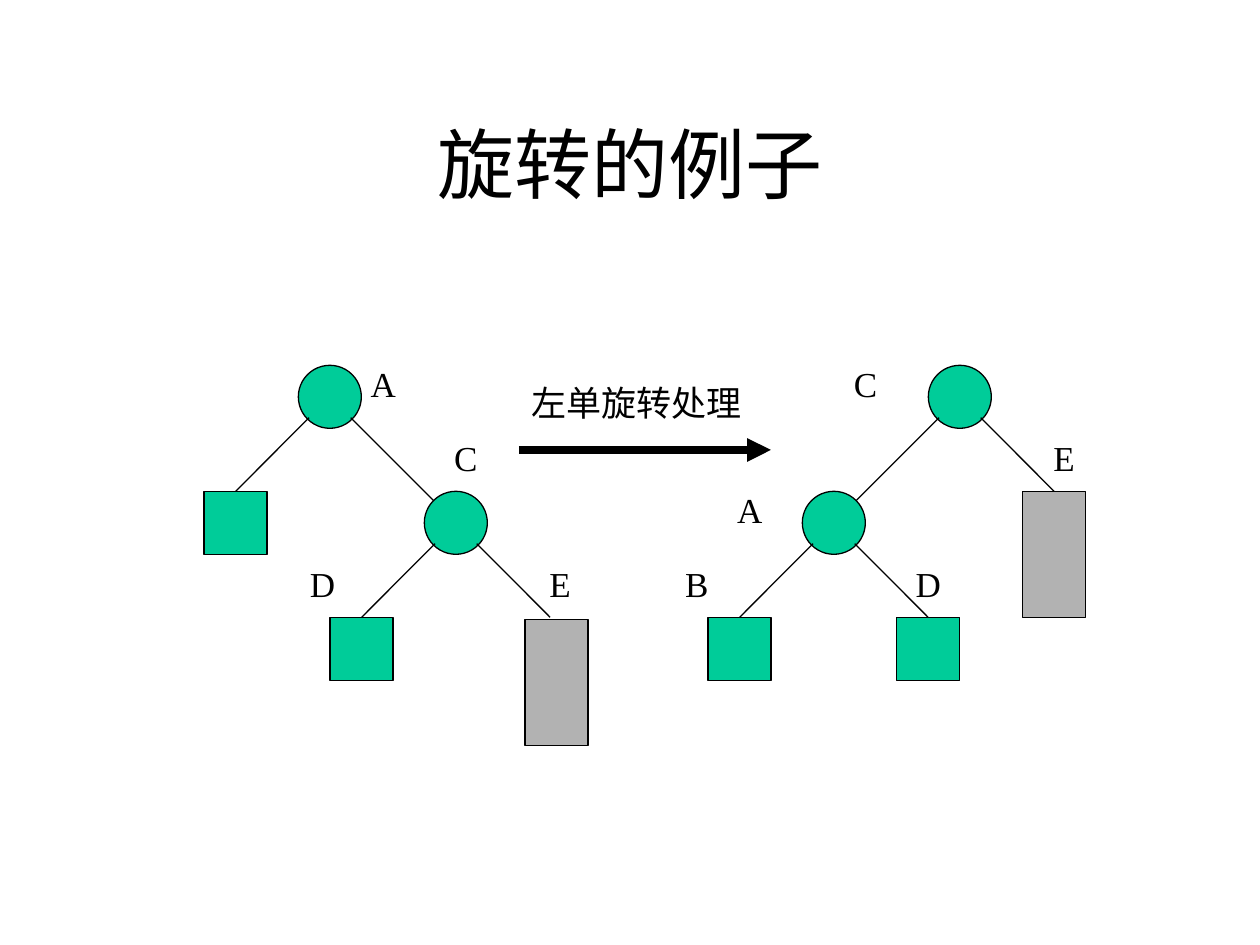
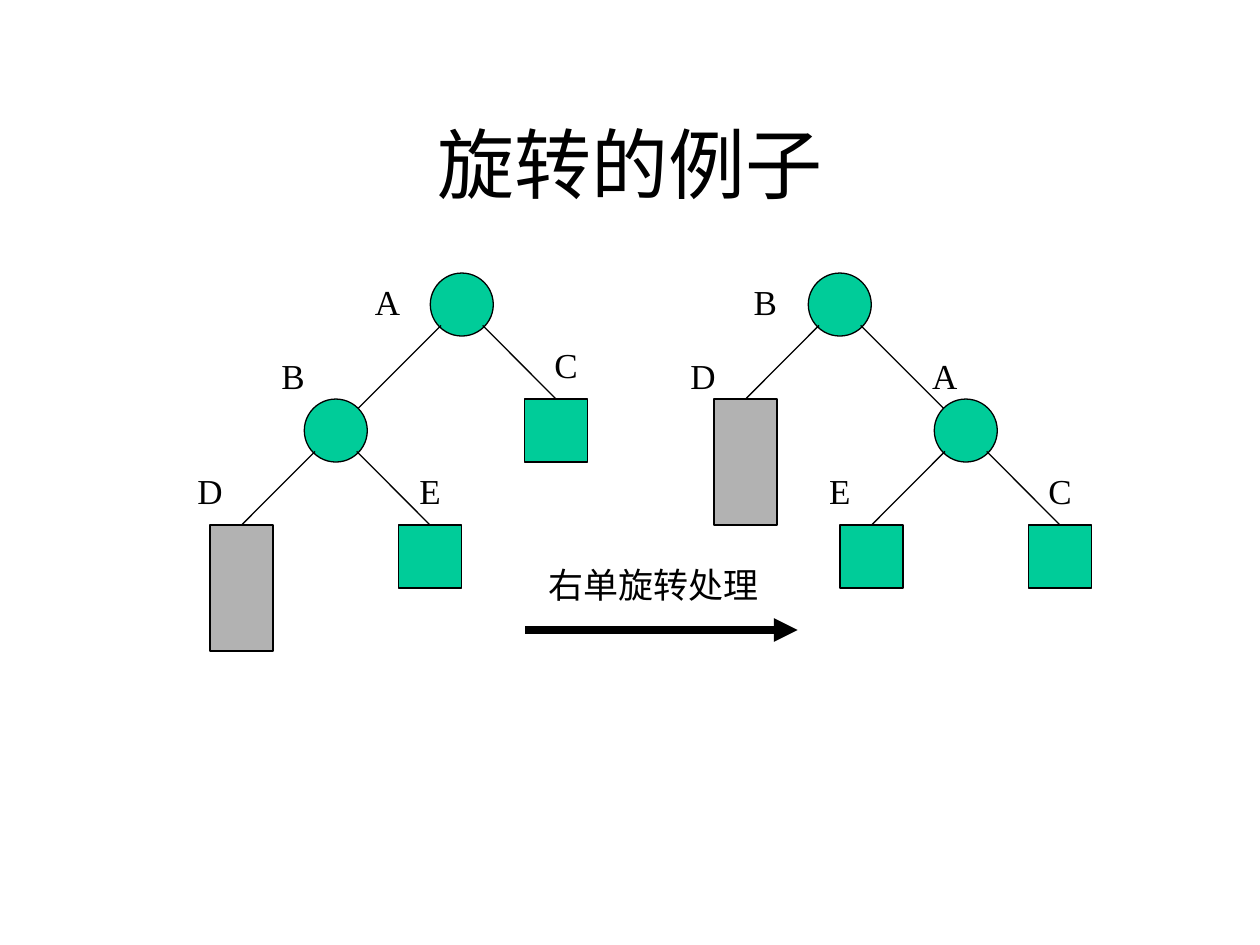
from dataclasses import dataclass

from lxml import etree
from pptx import Presentation
from pptx.dml.color import RGBColor
from pptx.enum.shapes import MSO_CONNECTOR, MSO_SHAPE
from pptx.enum.text import MSO_ANCHOR, PP_ALIGN
from pptx.oxml.ns import qn
from pptx.util import Cm, Pt

LINE, OVAL, RECT = MSO_CONNECTOR.STRAIGHT, MSO_SHAPE.OVAL, MSO_SHAPE.RECTANGLE
TOP, MIDDLE, CENTER = MSO_ANCHOR.TOP, MSO_ANCHOR.MIDDLE, PP_ALIGN.CENTER


@dataclass(frozen=True)
class Theme:
    font: str = "Times New Roman"
    ink: RGBColor = RGBColor(0, 0, 0)
    node: RGBColor = RGBColor(0x00, 0xCC, 0x99)
    tall: RGBColor = RGBColor(0xB2, 0xB2, 0xB2)
    title_size: float = 44
    label_size: float = 20
    thin: float = 0.75
    thick: float = 4.5


T = Theme()

# Tree geometry, in cm
SIZE = 1.27        # side of a node
LEVEL = 2.54       # drop from one level to the next
SPREAD = {"circle": 2.54, "box": 1.9, "tall": 1.9}
JOIN = 0.42        # where an edge meets a circle, from its centre
LABEL_W, LABEL_H = 1, 1.12


def node(kind, label, offset, left=None, right=None, nudge=(0, 0)):
    """A tree node; offset leads from its centre to the centre of its label."""
    return dict(kind=kind, label=label, offset=offset, nudge=nudge,
                children=((-1, left), (1, right)))


# Content: each tree is a root centre and a root node
TITLE = "旋转的例子"
SLIDES = [
    dict(
        caption=("左单旋转处理", 10.46, 7.57),
        arrow=(10.46, 15.54, 9.07),
        trees=[
            ((6.65, 8), node(
                "circle", "A", (1.07, -0.25),
                node("box", "", (0, 0)),
                node("circle", "C", (0.2, -1.3),
                     node("box", "D", (-0.79, -1.3)),
                     node("tall", "E", (0.2, -1.3), nudge=(0.13, 0.05))))),
            ((19.35, 8), node(
                "circle", "C", (-1.9, -0.25),
                node("circle", "A", (-1.7, -0.25),
                     node("box", "B", (-0.86, -1.3)),
                     node("box", "D", (0, -1.3))),
                node("tall", "E", (0.2, -1.3)))),
        ],
    ),
    dict(
        caption=("右单旋转处理", 10.8, 11.23),
        arrow=(10.59, 16.08, 12.7),
        trees=[
            ((9.31, 6.14), node(
                "circle", "A", (-1.5, -0.05),
                node("circle", "B", (-0.86, -1.09),
                     node("tall", "D", (-0.64, -1.32)),
                     node("box", "E", (0, -1.32))),
                node("box", "C", (0.2, -1.32)))),
            ((16.93, 6.14), node(
                "circle", "B", (-1.5, -0.05),
                node("tall", "D", (-0.86, -1.09)),
                node("circle", "A", (-0.43, -1.09),
                     node("box", "E", (-0.64, -1.32)),
                     node("box", "C", (0, -1.32))))),
        ],
    ),
]


def add_text(s, text, x, y, w, h, size=T.label_size, anchor=TOP, wrap=False):
    tf = s.shapes.add_textbox(Cm(x), Cm(y), Cm(w), Cm(h)).text_frame
    tf.word_wrap, tf.vertical_anchor = wrap, anchor
    p = tf.paragraphs[0]
    p.alignment = CENTER
    r = p.add_run()
    r.text = text
    r.font.name, r.font.size = T.font, Pt(size)
    r.font.color.rgb = T.ink


def add_line(s, x1, y1, x2, y2, width=T.thin, arrow=False):
    line = s.shapes.add_connector(LINE, Cm(x1), Cm(y1), Cm(x2), Cm(y2))
    line.line.color.rgb, line.line.width = T.ink, Pt(width)
    sp_pr = line._element.spPr
    if arrow:
        etree.SubElement(sp_pr.find(qn("a:ln")), qn("a:tailEnd"), type="triangle")
    etree.SubElement(sp_pr, qn("a:effectLst"))


def add_tree(s, n, cx, cy):
    """Draw a node, its label, its edges and the trees below it."""
    kind, (nx, ny), (lx, ly) = n["kind"], n["nudge"], n["offset"]
    sp = s.shapes.add_shape(
        OVAL if kind == "circle" else RECT,
        Cm(cx + nx - SIZE / 2), Cm(cy + ny - SIZE / 2),
        Cm(SIZE), Cm(SIZE * 2 if kind == "tall" else SIZE))
    sp.shadow.inherit = False
    sp.fill.solid()
    sp.fill.fore_color.rgb = T.tall if kind == "tall" else T.node
    sp.line.color.rgb, sp.line.width = T.ink, Pt(T.thin)
    if n["label"]:
        add_text(s, n["label"], cx + lx - LABEL_W / 2, cy + ly - LABEL_H / 2,
                 LABEL_W, LABEL_H)

    for side, child in n["children"]:
        if child is None:
            continue
        x, y = cx + side * SPREAD[child["kind"]], cy + LEVEL
        end = ((x - side * JOIN, y - JOIN) if child["kind"] == "circle"
               else (x, y - SIZE / 2))
        add_line(s, cx + side * JOIN, cy + JOIN, *end)
        add_tree(s, child, x, y)


def main():
    prs = Presentation()
    prs.slide_width, prs.slide_height = Cm(25.4), Cm(19.05)
    for content in SLIDES:
        s = prs.slides.add_slide(prs.slide_layouts[6])
        add_text(s, TITLE, 1.9, 1.7, 21.6, 3.18,
                 size=T.title_size, anchor=MIDDLE, wrap=True)
        # Trees before and after the rotation
        for (cx, cy), root in content["trees"]:
            add_tree(s, root, cx, cy)
        # Rotation caption and arrow
        add_text(s, *content["caption"], 4.75, LABEL_H)
        x1, x2, y = content["arrow"]
        add_line(s, x1, y, x2, y, width=T.thick, arrow=True)
    prs.save("out.pptx")


if __name__ == "__main__":
    main()
